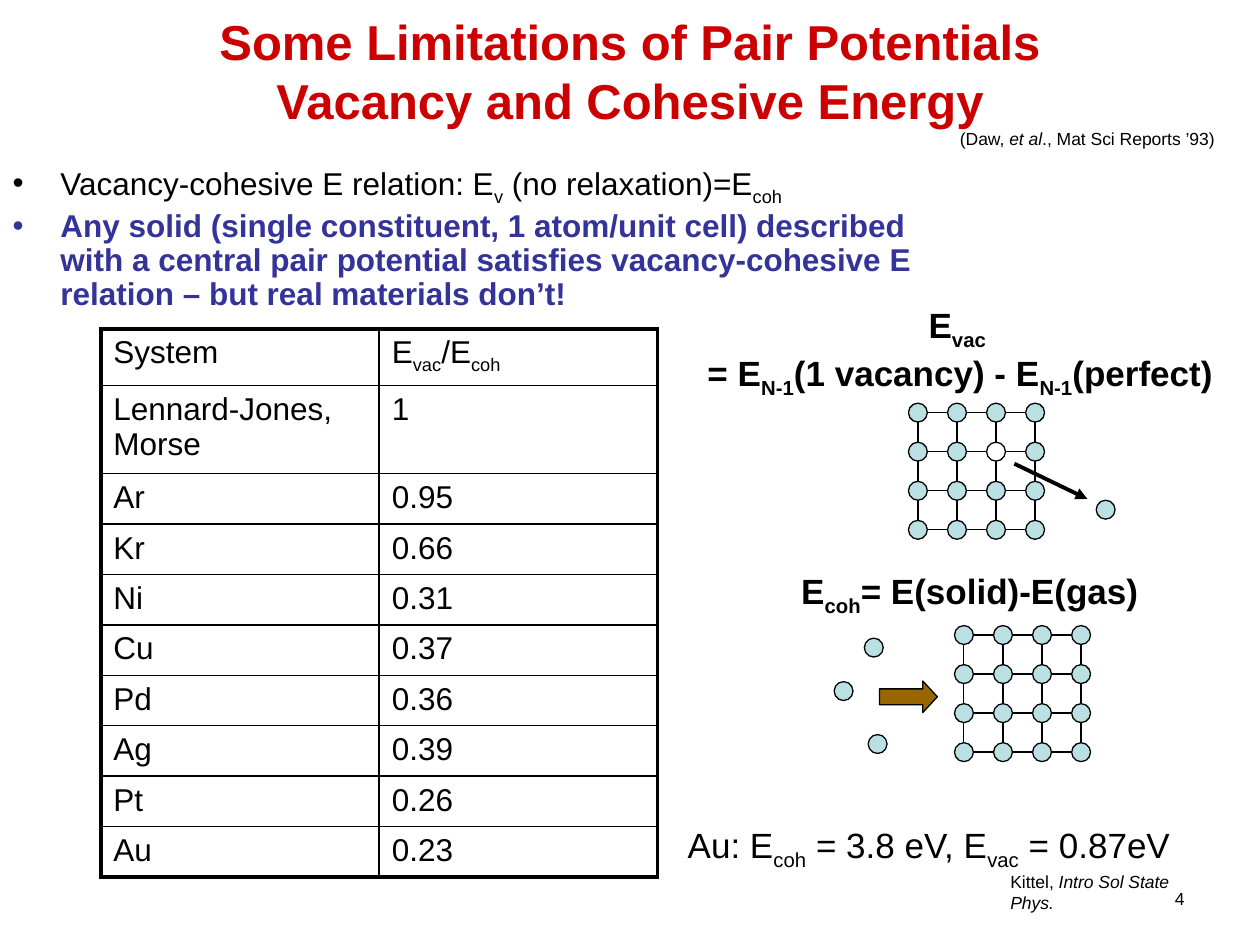
from dataclasses import dataclass
from typing import NamedTuple

from lxml import etree
from pptx import Presentation
from pptx.dml.color import RGBColor
from pptx.enum.shapes import MSO_CONNECTOR, MSO_SHAPE
from pptx.enum.text import MSO_ANCHOR, MSO_AUTO_SIZE, PP_ALIGN
from pptx.oxml.ns import qn
from pptx.util import Emu, Inches, Pt

STRAIGHT = MSO_CONNECTOR.STRAIGHT
OVAL, RECTANGLE, ARROW = MSO_SHAPE.OVAL, MSO_SHAPE.RECTANGLE, MSO_SHAPE.RIGHT_ARROW
LEFT, CENTER, RIGHT = PP_ALIGN.LEFT, PP_ALIGN.CENTER, PP_ALIGN.RIGHT
TOP, MIDDLE = MSO_ANCHOR.TOP, MSO_ANCHOR.MIDDLE
NO_FIT, GROW = MSO_AUTO_SIZE.NONE, MSO_AUTO_SIZE.SHAPE_TO_FIT_TEXT

# The slide is a grid of 100 columns by 75 rows; all places are in its cells
COLUMNS, ROWS = 100, 75
CELL = Inches(10) // COLUMNS


@dataclass(frozen=True)
class Theme:
    font: str = "Arial"
    ink: str = "000000"
    title: str = "CC0000"
    accent: str = "333399"
    atom: str = "BBE0E3"
    vacancy: str = "FFFFFF"
    arrow: str = "996600"
    title_size: int = 28
    formula_size: int = 20
    body_size: int = 18
    note_size: int = 10
    thin: float = 0.75
    rule: float = 1
    thick: float = 2.25


THEME = Theme()


class Box(NamedTuple):
    left: float
    top: float
    width: float
    height: float


class Span(NamedTuple):
    text: str
    lowered: bool = False
    italic: bool = False


class Style(NamedTuple):
    size: int
    color: str = THEME.ink
    bold: bool = False
    align: PP_ALIGN = LEFT


class Label(NamedTuple):
    box: Box
    lines: list
    style: Style
    wrap: bool = False


class Lattice(NamedTuple):
    left: float
    top: float
    vacancy: tuple | None
    free_atoms: list


def low(text: str) -> Span:
    return Span(text, lowered=True)


BODY = Style(THEME.body_size)
NOTE = Style(THEME.note_size)
FORMULA = Style(THEME.formula_size, bold=True)

TITLE = "Some Limitations of Pair Potentials\nVacancy and Cohesive Energy"
BULLETS = [
    ([Span("Vacancy-cohesive E relation: E"), low("v"),
      Span(" (no relaxation)=E"), low("coh")], BODY),
    ([Span("Any solid (single constituent, 1 atom/unit cell) described with a "
           "central pair potential satisfies vacancy-cohesive E relation – "
           "but real materials don’t!")],
     BODY._replace(color=THEME.accent, bold=True)),
]
LABELS = [
    Label(Box(75.2, 9.7, 22.3, 2.7),
          [[Span("(Daw, "), Span("et al", italic=True),
            Span("., Mat Sci Reports ’93)")]], NOTE),
    Label(Box(52.4, 23.6, 47.6, 7.7),
          [[Span("E"), low("vac ")],
           [Span("= E"), low("N-1"), Span("(1 vacancy) - E"), low("N-1"),
            Span("(perfect)")]], FORMULA._replace(align=CENTER), wrap=True),
    Label(Box(62.6, 44.7, 29.1, 4.3),
          [[Span("E"), low("coh"), Span("= E(solid)-E(gas)")]], FORMULA),
    Label(Box(53.6, 64.9, 41, 4.3),
          [[Span("Au: E"), low("coh"), Span(" = 3.8 eV, E"), low("vac"),
            Span(" = 0.87eV")]], FORMULA._replace(bold=False)),
    Label(Box(79.2, 68.6, 18.4, 2.7),
          [[Span("Kittel, "), Span("Intro Sol State Phys.", italic=True)]], NOTE),
    Label(Box(71.7, 70, 23.3, 3.5), [[Span("4")]],
          NOTE._replace(align=RIGHT), wrap=True),
]
RATIOS = [
    ([Span("System")], [Span("E"), low("vac"), Span("/E"), low("coh")]),
    *(([Span(system)], [Span(ratio)]) for system, ratio in (
        ("Lennard-Jones, Morse", "1"), ("Ar", "0.95"), ("Kr", "0.66"),
        ("Ni", "0.31"), ("Cu", "0.37"), ("Pd", "0.36"), ("Ag", "0.39"),
        ("Pt", "0.26"), ("Au", "0.23"))),
]
TABLE_BOX = Box(8, 26.1, 44.2, 43.5)
ROW_HEIGHTS = [4.5, 7] + [4] * 8
ATOMS, STEP, ATOM_SIZE = 4, 3.1, 1.5
LATTICES = [
    Lattice(72.85, 32.75, (2, 1), [(87.75, 40.45)]),
    Lattice(76.5, 50.4, None, [(69.35, 51.4), (69.65, 59.05), (66.95, 54.85)]),
]


def cells(*counts: float) -> list:
    return [Emu(round(count * CELL)) for count in counts]


def place(shape, box: Box) -> None:
    shape.left, shape.top, shape.width, shape.height = cells(*box)


def format_run(run, style: Style) -> None:
    run.font.name, run.font.size, run.font.bold = THEME.font, Pt(style.size), style.bold
    run.font.color.rgb = RGBColor.from_string(style.color)


def write(para, spans: list, style: Style) -> None:
    para.alignment = style.align
    for span in spans:
        run = para.add_run()
        run.text = span.text
        format_run(run, style)
        run.font.italic = span.italic
        if span.lowered:
            run.font._element.set("baseline", "-25000")


def paragraphs(frame, count: int) -> list:
    return [frame.paragraphs[0]] + [frame.add_paragraph() for _ in range(count - 1)]


def add_label(shapes, label: Label) -> None:
    frame = shapes.add_textbox(*cells(*label.box)).text_frame
    frame.word_wrap, frame.auto_size = label.wrap, GROW
    for para, spans in zip(paragraphs(frame, len(label.lines)), label.lines):
        write(para, spans, label.style)


def add_figure(shapes, kind, box: Box, fill: str | None):
    shape = shapes.add_shape(kind, *cells(*box))
    shape.shadow.inherit = False
    if fill:
        shape.fill.solid()
        shape.fill.fore_color.rgb = RGBColor.from_string(fill)
    else:
        shape.fill.background()
    shape.line.color.rgb = RGBColor.from_string(THEME.ink)
    shape.line.width = Pt(THEME.thin)
    return shape


def add_atom(shapes, x: float, y: float, fill: str = THEME.atom) -> None:
    half = ATOM_SIZE / 2
    add_figure(shapes, OVAL, Box(x - half, y - half, ATOM_SIZE, ATOM_SIZE), fill)


def add_line(shapes, start: tuple, end: tuple, width: float = THEME.thin):
    line = shapes.add_connector(STRAIGHT, *cells(*start, *end))
    line.line.color.rgb = RGBColor.from_string(THEME.ink)
    line.line.width = Pt(width)
    etree.SubElement(line._element.spPr, qn("a:effectLst"))
    return line


def add_lattice(shapes, lattice: Lattice) -> None:
    left, top, side = lattice.left, lattice.top, STEP * (ATOMS - 1)
    add_figure(shapes, RECTANGLE, Box(left, top, side, side), None)
    for index in range(1, ATOMS - 1):
        x, y = left + index * STEP, top + index * STEP
        add_line(shapes, (x, top), (x, top + side))
        add_line(shapes, (left, y), (left + side, y))
    for row in range(ATOMS):
        for column in range(ATOMS):
            fill = THEME.vacancy if (column, row) == lattice.vacancy else THEME.atom
            add_atom(shapes, left + column * STEP, top + row * STEP, fill)
    for x, y in lattice.free_atoms:
        add_atom(shapes, x, y)


def add_border(cell, side: str, width: float) -> None:
    line = etree.SubElement(cell._tc.get_or_add_tcPr(), qn(f"a:ln{side}"), w=str(Pt(width)))
    fill = etree.SubElement(line, qn("a:solidFill"))
    etree.SubElement(fill, qn("a:srgbClr"), val=THEME.ink)


def add_ratio_table(shapes) -> None:
    rows, columns = len(RATIOS), len(RATIOS[0])
    table = shapes.add_table(rows, columns, *cells(*TABLE_BOX)).table
    table.first_row = table.horz_banding = False
    for row, (height, entries) in enumerate(zip(ROW_HEIGHTS, RATIOS)):
        table.rows[row].height = cells(height)[0]
        for column, spans in enumerate(entries):
            cell = table.cell(row, column)
            write(cell.text_frame.paragraphs[0], spans, BODY)
            outer = {"L": column == 0, "R": column == columns - 1,
                     "T": row == 0, "B": row == rows - 1}
            for side, is_outer in outer.items():
                add_border(cell, side, THEME.thick if is_outer else THEME.rule)
            cell.fill.background()


def fill_placeholders(page) -> None:
    title, body = page.shapes.title, page.placeholders[1]
    place(title, Box(0, 0, COLUMNS, 11.2))
    place(body, Box(0, 12.6, 73.9, 13.5))
    for shape, anchor in ((title, MIDDLE), (body, TOP)):
        shape.text_frame.auto_size = NO_FIT
        shape.text_frame.vertical_anchor = anchor
    heading = title.text_frame.paragraphs[0]
    heading.text, heading.alignment = TITLE, CENTER
    for run in heading.runs:
        format_run(run, Style(THEME.title_size, THEME.title, True))
    bullets = paragraphs(body.text_frame, len(BULLETS))
    for index, (para, (spans, style)) in enumerate(zip(bullets, BULLETS)):
        properties = para._p.get_or_add_pPr()
        properties.set("marL", str(Inches(0.38)))
        properties.set("indent", str(-Inches(0.38)))
        etree.SubElement(properties, qn("a:buChar"), char="•")
        para.line_spacing = 0.9
        para.space_before = Pt(0.2 * style.size if index else 0)
        write(para, spans, style)


def main() -> None:
    deck = Presentation()
    deck.slide_width, deck.slide_height = cells(COLUMNS, ROWS)
    page = deck.slides.add_slide(deck.slide_layouts[1])
    fill_placeholders(page)

    # Vacancy and cohesion diagrams
    vacancy, cohesion = (page.shapes.add_group_shape() for _ in LATTICES)
    for group, lattice in zip((vacancy, cohesion), LATTICES):
        add_lattice(group.shapes, lattice)
    escape = add_line(vacancy.shapes, (80.5, 36.8), (86.3, 39.6), THEME.thick)
    etree.SubElement(escape.line._get_or_add_ln(), qn("a:tailEnd"), type="triangle")
    gathering = add_figure(cohesion.shapes, ARROW, Box(69.8, 54.05, 4.6, 2.5), THEME.arrow)
    gathering.adjustments[1] = 0.46

    # Energy ratios, formulas and references
    add_ratio_table(page.shapes)
    for label in LABELS:
        add_label(page.shapes, label)
    deck.save("out.pptx")


if __name__ == "__main__":
    main()
